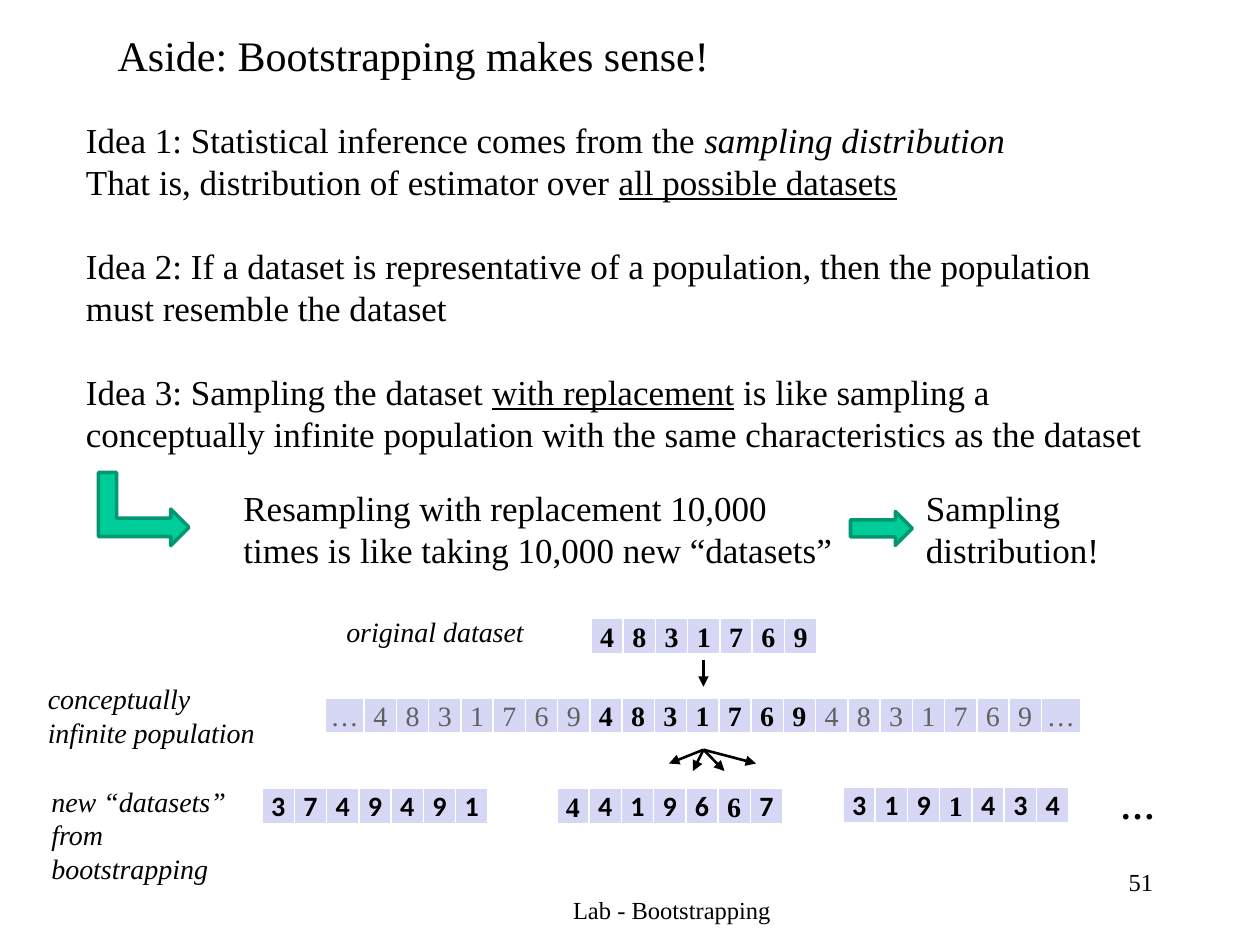
from pptx import Presentation
from pptx.dml.color import RGBColor
from pptx.enum.shapes import MSO_CONNECTOR, MSO_SHAPE
from pptx.enum.text import MSO_ANCHOR, MSO_AUTO_SIZE, PP_ALIGN
from pptx.oxml import parse_xml
from pptx.oxml.ns import nsdecls
from pptx.util import Pt

COLORS = {"text": "000000", "muted": "606060", "cell": "D6D6F5",
          "border": "FFFFFF", "arrow": "00CC99", "outline": "009771"}
SERIF, SANS = "Times New Roman", "Calibri"
CELL_W, END_W, ROW_H = 18.45, 22.3, 20

ITALIC = {"italic": True}
UNDERLINE = {"underline": True}
BOLD = {"bold": True}
BOLD_SANS = {"bold": True, "name": SANS}
MUTED = {"color": "muted"}


def rgb(name):
    return RGBColor.from_string(COLORS[name])


class SlideBuilder:
    def __init__(self, prs):
        self.slide = prs.slides.add_slide(prs.slide_layouts[5])
        self.shapes = self.slide.shapes

    def run(self, p, text, size, **fmt):
        r = p.add_run()
        r.text = text
        style = {"name": SERIF, "size": Pt(size), "bold": False, **fmt}
        r.font.color.rgb = rgb(style.pop("color", "text"))
        for key, value in style.items():
            setattr(r.font, key, value)

    def fill_text(self, tf, paragraphs, size, align=PP_ALIGN.LEFT, gap=0, **fmt):
        """Write paragraphs, each a list of (text, format); gap precedes those starting with Idea."""
        for i, runs in enumerate(paragraphs):
            p = tf.paragraphs[0] if i == 0 else tf.add_paragraph()
            p.alignment = align
            p.space_before = Pt(gap if i and runs[0][0].startswith("Idea") else 0)
            for text, extra in runs:
                self.run(p, text, size, **{**fmt, **extra})

    def title(self, text, x, y, w, h, size):
        sp = self.shapes.title
        sp.left, sp.top, sp.width, sp.height = map(Pt, (x, y, w, h))
        tf = sp.text_frame
        tf.auto_size = MSO_AUTO_SIZE.NONE
        tf.vertical_anchor = MSO_ANCHOR.TOP
        self.fill_text(tf, [[(text, {})]], size)

    def text(self, content, x, y, w, h, size, wrap=True, **fmt):
        sp = self.shapes.add_textbox(*map(Pt, (x, y, w, h)))
        tf = sp.text_frame
        tf.word_wrap = wrap
        paragraphs = [[(content, {})]] if isinstance(content, str) else content
        self.fill_text(tf, paragraphs, size, **fmt)

    def block_arrow(self, kind, x, y, w, h, rotation=0):
        sp = self.shapes.add_shape(kind, *map(Pt, (x, y, w, h)))
        sp.rotation = rotation
        sp.shadow.inherit = False
        sp.fill.solid()
        sp.fill.fore_color.rgb = rgb("arrow")
        sp.line.color.rgb = rgb("outline")
        sp.line.width = Pt(2)

    def arrow(self, x1, y1, x2, y2):
        c = self.shapes.add_connector(MSO_CONNECTOR.STRAIGHT, *map(Pt, (x1, y1, x2, y2)))
        c.line.color.rgb = rgb("text")
        c.line.width = Pt(1.5)
        c.line._get_or_add_ln().append(
            parse_xml(f'<a:tailEnd {nsdecls("a")} type="triangle"/>'))
        c._element.spPr.append(parse_xml(f'<a:effectLst {nsdecls("a")}/>'))

    def number_row(self, x, y, groups):
        """One-row table; each group is (characters, format), one character a cell."""
        cells = [(char, fmt) for chars, fmt in groups for char in chars]
        widths = [END_W if char == "…" else CELL_W for char, _ in cells]
        table = self.shapes.add_table(1, len(cells), Pt(x), Pt(y),
                                      Pt(sum(widths)), Pt(ROW_H)).table
        table.first_row = table.horz_banding = False
        for i, (char, fmt) in enumerate(cells):
            table.columns[i].width = Pt(widths[i])
            cell = table.cell(0, i)
            cell.margin_left = cell.margin_right = cell.margin_top = Pt(0.7)
            cell.margin_bottom = 0
            cell.vertical_anchor = MSO_ANCHOR.BOTTOM
            self.fill_text(cell.text_frame, [[(char, fmt)]], 16, PP_ALIGN.CENTER)
            self.borders(cell)
            cell.fill.solid()
            cell.fill.fore_color.rgb = rgb("cell")

    def borders(self, cell):
        tc_pr = cell._tc.get_or_add_tcPr()
        for side in ("lnL", "lnR", "lnT", "lnB"):
            tc_pr.append(parse_xml(
                f'<a:{side} {nsdecls("a")} w="12700"><a:solidFill>'
                f'<a:srgbClr val="{COLORS["border"]}"/></a:solidFill></a:{side}>'))


IDEAS = [
    [("Idea 1: Statistical inference comes from the ", {}), ("sampling distribution", ITALIC)],
    [("That is, distribution of estimator over ", {}), ("all possible datasets", UNDERLINE)],
    [("Idea 2: If a dataset is representative of a population, "
      "then the population must resemble the dataset", {})],
    [("Idea 3: Sampling the dataset ", {}), ("with replacement", UNDERLINE),
     (" is like sampling a conceptually infinite population "
      "with the same characteristics as the dataset", {})],
]
DATASET = "4831769"
NUMBER_ROWS = [
    (337.7, 353.5, [(DATASET, BOLD)]),
    (185.8, 398.9, [("…" + DATASET, MUTED), (DATASET, BOLD), (DATASET + "…", MUTED)]),
    (149.8, 450.7, [("3749491", BOLD_SANS)]),
    (318.2, 450.7, [("4", BOLD), ("4196", BOLD_SANS), ("6", BOLD), ("7", BOLD_SANS)]),
    (481.7, 450, [("319", BOLD_SANS), ("1", BOLD), ("434", BOLD_SANS)]),
]
SAMPLE_TIPS = [(432, 436.3), (414, 440.6), (396, 440.6), (382.3, 436.3)]


def main():
    prs = Presentation()
    prs.slide_width, prs.slide_height = Pt(720), Pt(540)
    s = SlideBuilder(prs)

    s.title("Aside: Bootstrapping makes sense!", 60, 13, 606, 36, 24)
    s.text(IDEAS, 42, 64, 624, 206, 20, gap=24)
    s.text("Resampling with replacement 10,000 times is like taking "
           "10,000 new “datasets”", 132, 274.5, 354, 55.5, 20)
    s.text("Sampling distribution!", 522, 274.5, 114, 55.5, 20)
    s.block_arrow(MSO_SHAPE.BENT_UP_ARROW, 61.2, 265, 41.8, 51.8, 90)
    s.block_arrow(MSO_SHAPE.RIGHT_ARROW, 486, 292.3, 35.3, 19.4)

    for x, y, groups in NUMBER_ROWS:
        s.number_row(x, y, groups)
    s.arrow(402, 377.3, 402, 392.4)
    for tip in SAMPLE_TIPS:
        s.arrow(402, 428.4, *tip)

    s.text("…", 633, 445, 33, 31.5, 20, bold=True)
    s.text("original dataset", 190.8, 347.8, 117.4, 26.6, 16, wrap=False, italic=True)
    s.text("conceptually infinite population", 20.2, 386, 135.4, 46, 16, italic=True)
    s.text("new “datasets” from bootstrapping", 22.3, 444.5, 127.4, 65.5, 16, italic=True)
    s.text("Lab - Bootstrapping", 270, 507.6, 228, 24, 14, align=PP_ALIGN.CENTER)
    s.text("51", 516, 492, 150, 36, 14, align=PP_ALIGN.RIGHT)

    prs.save("out.pptx")


if __name__ == "__main__":
    main()
